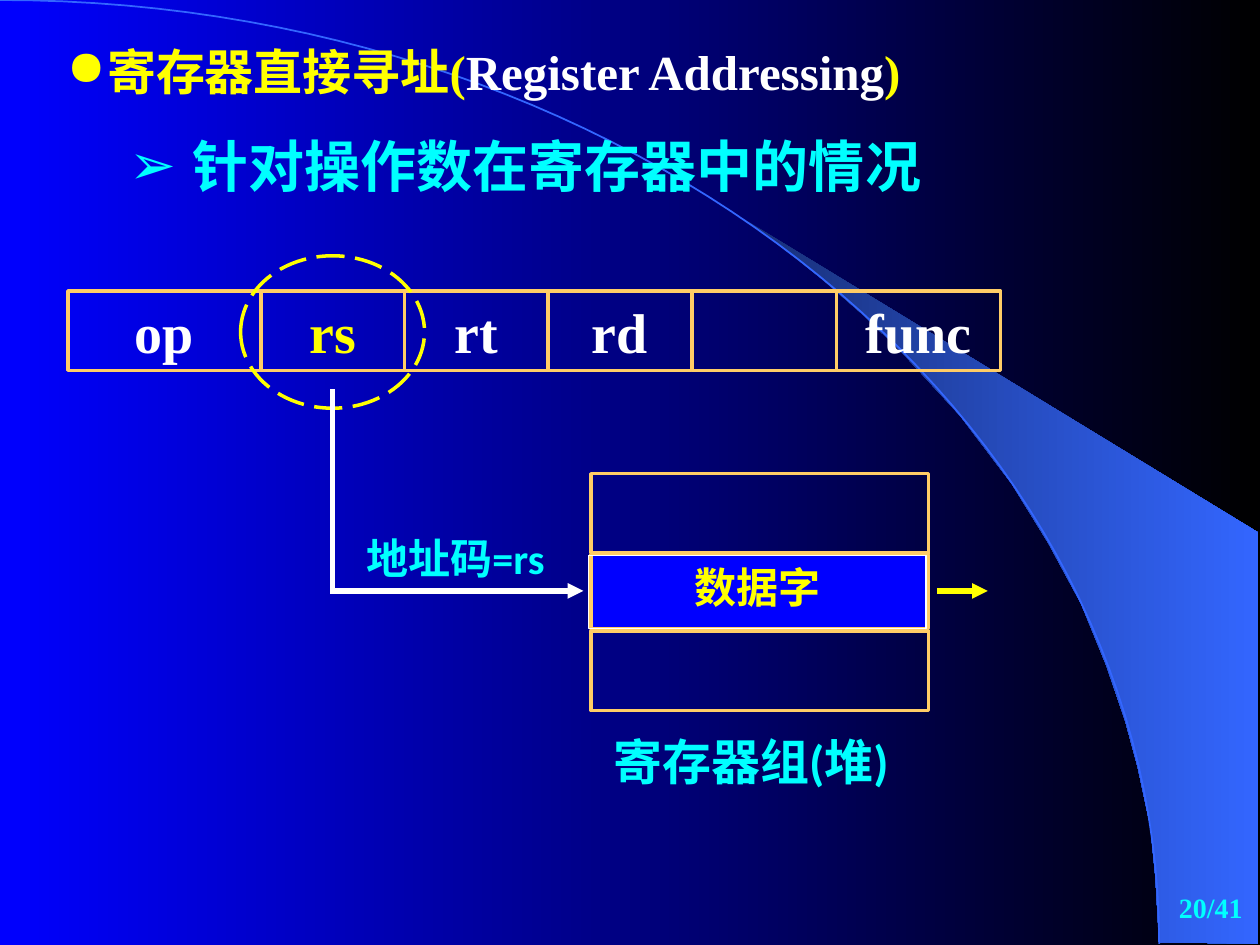
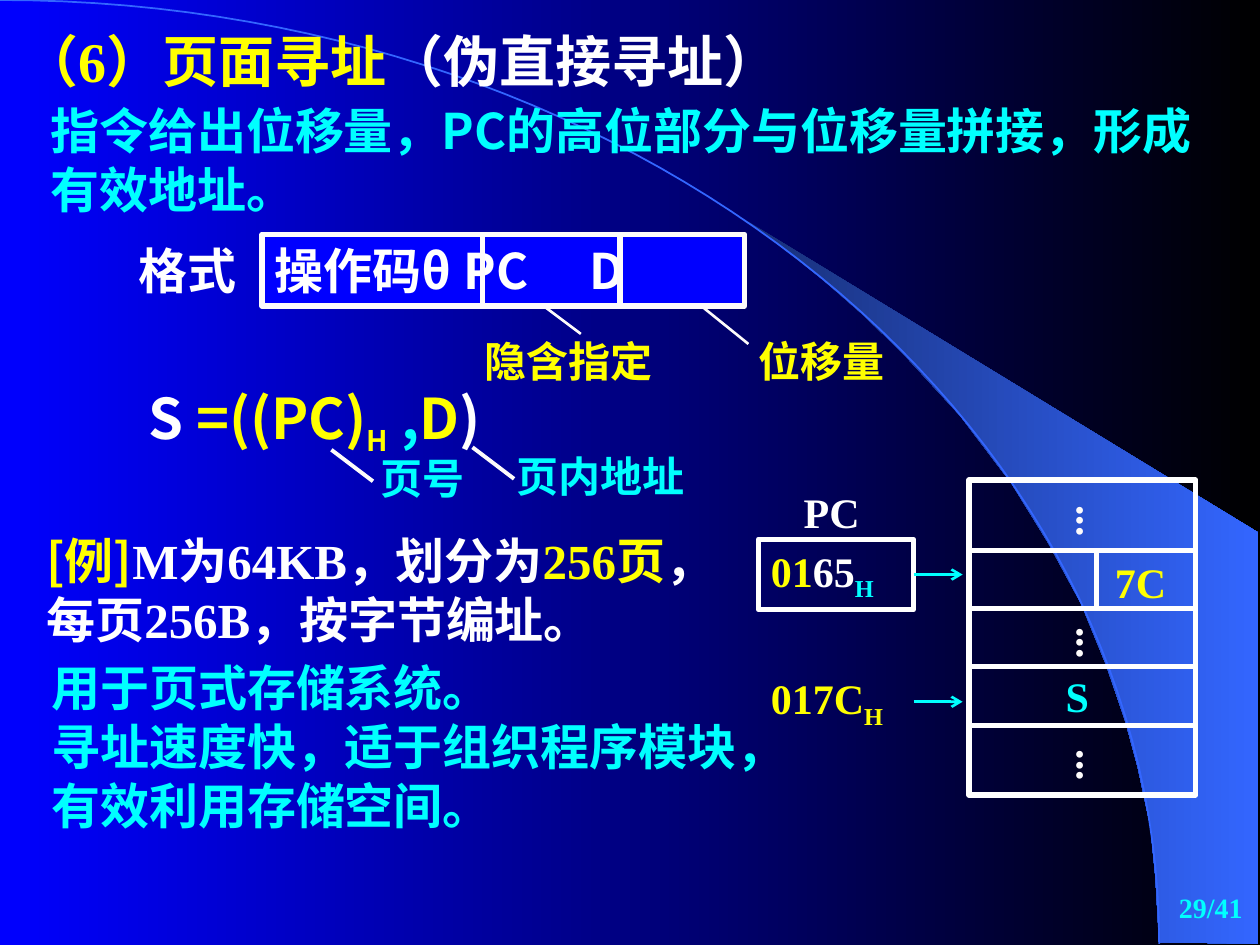
from lxml.etree import SubElement as Sub
from pptx import Presentation
from pptx.dml.color import RGBColor as RGB
from pptx.enum.dml import MSO_LINE as Dash
from pptx.enum.shapes import MSO_CONNECTOR as Link, MSO_SHAPE as Kind
from pptx.enum.text import MSO_ANCHOR as Anchor, MSO_AUTO_SIZE as Fit, PP_ALIGN as Align
from pptx.oxml.ns import qn
from pptx.util import Inches, Pt

HUES = {"blue": "0000FF", "black": "000000", "navy": "182F76", "sky": "3366FF",
        "gold": "FFCC66", "yellow": "FFFF00", "cyan": "00FFFF",
        "white": "FFFFFF", "snow": "FDFBFB"}
TIMES, SANS, CALI = "Times New Roman", "Noto Sans CJK SC", "Calibri"

# Content: a run is a string or (string, changes from the paragraph's font)
WHITE, YELLOW, CYAN = {"hue": "white"}, {"hue": "yellow"}, {"hue": "cyan"}

HEAD1 = ["寄存器直接寻址(", ("Register Addressing", WHITE), ")"]
POINT1 = ["针对操作数在寄存器中的情况"]
FIELDS = [("op", 1.53), ("rs", 1.14), ("rt", 1.14), ("rd", 1.14), ("", 1.15), ("func", 1.3)]

HEAD2 = ["（6）页面寻址", ("（伪直接寻址）", WHITE)]
POINT2 = ["指令给出位移量，", ("PC的高位部分", {"face": SANS}),
          "与位移量拼接，形成有效地址。"]
FORMAT = ["操作码", ("θ\tPC\tD", {"face": SANS})]
RULE = [("S ", WHITE), "=((PC)", ("H", {"size": 28, "sub": True}), " ",
        (",", CYAN), "D", (")", WHITE)]
SAMPLE = [("[例]", {"hue": "yellow", "face": SANS}), "M为64KB，划分为",
          ("256页", YELLOW), "，每页256B，按字节编址。"]
USES = [["用于页式存储系统。"], ["寻址速度快，适于组织程序模块，"], ["有效利用存储空间。"]]
NOTES = [("位移量", 5.92, 2.61, 1.58, "yellow"), ("隐含指定", 3.75, 2.61, 2.33, "yellow"),
         ("页号", 2.92, 3.54, 1.42, "cyan"), ("页内地址", 4, 3.53, 1.92, "cyan")]
TICKS = [((4.33, 2.44), (4.61, 2.65), 1.5), ((5.58, 2.44), (5.94, 2.73), 1.5),
         ((2.63, 3.57), (2.96, 3.82), 2.25), ((3.75, 3.55), (4.08, 3.8), 2.25)]
PC = [("01", YELLOW), "65", ("H", {"hue": "cyan", "sub": True})]
GOAL = ["017C", ("H", {"sub": True})]

# Backdrop outlines
BEAM = [(9.2, 7.48), (9.99, 7.49), (9.99, 4.23), (5.89, 1.73), (6.24, 1.99), (6.53, 2.22),
        (6.85, 2.5), (7.16, 2.8), (7.62, 3.3), (8.03, 3.84), (8.32, 4.31), (8.58, 4.79),
        (8.78, 5.28), (8.93, 5.72), (9.03, 6.09), (9.13, 6.56), (9.17, 6.96)]
BEND = [(0, 0), (5.08, 0), (9.2, 3.35), (9.2, 7.49)]


def rgb(hue):
    return RGB.from_string(HUES[hue])


def style(font, hue=None, face=None, size=None):
    if size:
        font.size = Pt(size)
    if hue:
        font.color.rgb = rgb(hue)
    if face:
        font.name = face


def write(frame, lines, size, hue, face=TIMES, align=Align.LEFT, anchor=Anchor.TOP,
          bullet=None, indent=0, tabs=(), lead=None):
    """Fill a text frame; each line is a list of runs."""
    frame.word_wrap, frame.auto_size, frame.vertical_anchor = True, Fit.NONE, anchor
    frame.margin_left = frame.margin_right = Inches(0.1)
    frame.margin_top = frame.margin_bottom = Inches(0.05)
    for i, runs in enumerate(lines):
        para = frame.add_paragraph() if i else frame.paragraphs[0]
        para.alignment, para.space_before = align, Pt(0)
        if lead:
            para.line_spacing = lead
        props = para._p.get_or_add_pPr()
        props.set("marL", str(Inches(indent)))
        props.set("indent", str(-Inches(indent)))
        if bullet:
            Sub(Sub(props, qn("a:buClr")), qn("a:srgbClr"), val=HUES[hue])
            Sub(props, qn("a:buChar"), char=bullet)
        else:
            Sub(props, qn("a:buNone"))
        if tabs:
            stops = Sub(props, qn("a:tabLst"))
            for stop in tabs:
                Sub(stops, qn("a:tab"), pos=str(Inches(stop)), algn="l")
        para.font.bold = True
        style(para.font, hue, face, size)
        Sub(props.find(qn("a:defRPr")), qn("a:ea"), typeface=SANS)
        for item in runs:
            text, change = (item, {}) if isinstance(item, str) else item
            run = para.add_run()
            run.text = text
            style(run.font, change.get("hue"), change.get("face"), change.get("size"))
            if change.get("sub"):
                run._r.get_or_add_rPr().set("baseline", "-25000")


def place(shape, box):
    shape.left, shape.top, shape.width, shape.height = map(Inches, box)
    return shape


def label(slide, box, runs, size, hue, **more):
    area = slide.shapes.add_textbox(*map(Inches, box))
    write(area.text_frame, [runs], size, hue, **more)
    return area


def draw(slide, box, line, width, fill=None, kind=Kind.RECTANGLE):
    shape = slide.shapes.add_shape(kind, *map(Inches, box))
    shape.shadow.inherit = False
    if fill:
        shape.fill.solid()
        shape.fill.fore_color.rgb = rgb(fill)
    else:
        shape.fill.background()
    shape.line.color.rgb, shape.line.width = rgb(line), Pt(width)
    return shape


def rule(slide, start, end, hue, width, head=None):
    line = slide.shapes.add_connector(Link.STRAIGHT, *map(Inches, (*start, *end)))
    line.line.color.rgb, line.line.width = rgb(hue), Pt(width)
    if head:
        Sub(line.line._get_or_add_ln(), qn("a:tailEnd"), type=head)
    Sub(line._element.spPr, qn("a:effectLst"))
    return line


def shade(fill, first, last):
    fill.gradient()
    fill.gradient_angle = 0
    for stop, hue in zip(fill.gradient_stops, (first, last)):
        stop.color.rgb = rgb(hue)


def trace(slide, points, close):
    spots = [(Inches(x), Inches(y)) for x, y in points]
    pen = slide.shapes.build_freeform(*spots[0])
    pen.add_line_segments(spots[1:], close=close)
    shape = pen.convert_to_shape()
    shape.shadow.inherit = False
    return shape


def curve(steps=60):
    """Points along the cubic curve of BEND."""
    for i in range(steps + 1):
        t = i / steps
        parts = ((1 - t) ** 3, 3 * t * (1 - t) ** 2, 3 * t * t * (1 - t), t ** 3)
        yield tuple(sum(k * p[axis] for k, p in zip(parts, BEND)) for axis in (0, 1))


def backdrop(deck, slide):
    """Gradient, beam and arc, kept on the master."""
    master = deck.slide_master
    shade(master.background.fill, "blue", "black")
    beam = trace(slide, BEAM, True)
    shade(beam.fill, "navy", "sky")
    beam.line.fill.background()
    arc = trace(slide, list(curve()), False)
    arc.fill.background()
    arc.line.color.rgb, arc.line.width = rgb("sky"), Pt(1)
    for num, shape in enumerate((beam, arc), 20):
        shape.element.nvSpPr.cNvPr.id = num
        master.shapes.element.append(shape.element)


def start(deck, page):
    slide = deck.slides.add_slide(deck.slide_layouts[1])
    label(slide, (7.88, 6.95, 2.08, 0.5), [page], 16, "cyan",
          align=Align.RIGHT, anchor=Anchor.MIDDLE)
    return slide, slide.shapes.title, slide.placeholders[1]


def direct(deck):
    slide, title, body = start(deck, "20/41")
    backdrop(deck, slide)
    write(place(title, (0.43, 0.28, 7.8, 0.57)).text_frame, [HEAD1], 28, "yellow",
          bullet="●", indent=0.32)
    write(place(body, (0.93, 0.99, 7.37, 0.64)).text_frame, [POINT1], 32, "cyan",
          face=SANS, bullet="➢", indent=0.5)

    # Instruction fields
    left = 0.54
    for name, width in FIELDS:
        cell = draw(slide, (left, 2.31, width, 0.63), "gold", 2)
        if name:
            write(cell.text_frame, [[name]], 32, "yellow" if name == "rs" else "white",
                  align=Align.CENTER, anchor=Anchor.MIDDLE)
        left += width
    ring = draw(slide, (1.91, 2.03, 1.46, 1.21), "yellow", 2, kind=Kind.OVAL)
    ring.line.dash_style = Dash.LONG_DASH

    # Path from rs to the register file
    rule(slide, (2.64, 3.09), (2.64, 4.69), "white", 3)
    rule(slide, (2.62, 4.69), (4.63, 4.69), "white", 3, "triangle")
    label(slide, (2.81, 4.18, 1.72, 0.51), ["地址码=rs"], 24, "cyan", face=CALI)

    # Register file
    draw(slide, (4.69, 4.4, 2.68, 0.59), "gold", 2, "blue")
    word = draw(slide, (4.67, 4.41, 2.68, 0.58), "white", 0.75)
    write(word.text_frame, [["数据字"]], 24, "yellow", face=SANS, align=Align.CENTER)
    for top in (3.76, 5.01):
        draw(slide, (4.69, top, 2.68, 0.63), "gold", 2)
    label(slide, (4.77, 5.76, 2.82, 0.58), ["寄存器组(堆)"], 28, "cyan", face=CALI)
    rule(slide, (7.44, 4.69), (7.84, 4.69), "yellow", 3, "triangle")


def paged(deck):
    slide, title, body = start(deck, "29/41")
    write(place(title, (0.08, 0.16, 7.85, 0.64)).text_frame, [HEAD2], 32, "yellow")
    write(place(body, (0.3, 0.75, 9.52, 1.04)).text_frame, [POINT2], 28, "cyan")

    # Instruction format
    label(slide, (1, 1.86, 1.17, 0.57), ["格式"], 28, "white")
    bar = draw(slide, (2.08, 1.86, 3.83, 0.57), "snow", 3, "blue")
    write(bar.text_frame, [FORMAT], 28, "white", tabs=(1.68, 2.5))
    for x in (3.83, 4.92):
        rule(slide, (x, 1.86), (x, 2.44), "snow", 3)

    # Formula, its notes and their ticks
    label(slide, (1.08, 3.11, 4.17, 0.51), RULE, 32, "yellow", face=SANS, lead=0.7)
    for text, left, top, width, hue in NOTES:
        label(slide, (left, top, width, 0.5), [text], 24, hue, face=SANS)
    for begin, end, width in TICKS:
        rule(slide, begin, end, "snow", width)

    # Example and uses
    label(slide, (0.27, 4.16, 5.59, 1.04), SAMPLE, 28, "white")
    uses = slide.shapes.add_textbox(*map(Inches, (0.31, 5.17, 6.43, 1.5)))
    write(uses.text_frame, USES, 28, "cyan")

    # Program counter and target address
    label(slide, (6.19, 3.81, 0.82, 0.5), ["PC"], 24, "white", align=Align.CENTER)
    count = draw(slide, (6.02, 4.28, 1.23, 0.56), "white", 3)
    write(count.text_frame, [PC], 24, "white")
    goal = label(slide, (6.02, 5.29, 1.23, 0.56), GOAL, 24, "yellow")
    for source, y in ((count, 4.56), (goal, 5.57)):
        rule(slide, (7.25, y), (7.64, y), "cyan", 1.5, "arrow").begin_connect(source, 3)

    # Memory
    draw(slide, (7.69, 3.81, 1.8, 2.5), "white", 3)
    for y in (4.37, 4.83, 5.29, 5.76):
        rule(slide, (7.69, y), (9.49, y), "white", 3)
    rule(slide, (8.7, 4.37), (8.7, 4.83), "white", 3)
    label(slide, (8.75, 4.37, 0.82, 0.5), ["7C"], 24, "yellow")
    label(slide, (8.36, 5.27, 0.57, 0.5), ["S"], 24, "cyan")
    for i in range(3):
        frame = label(slide, (8.33, 3.91 + 0.97 * i, 0.6, 0.55), ["..."], 24, "snow").text_frame
        frame.margin_left = frame.margin_right = Inches(0.05)
        frame.margin_top = frame.margin_bottom = Inches(0.1)
        frame._txBody.bodyPr.set("vert", "eaVert")


def main():
    deck = Presentation()
    deck.slide_width, deck.slide_height = Inches(10), Inches(7.5)
    direct(deck)
    paged(deck)
    deck.save("out.pptx")


if __name__ == "__main__":
    main()
